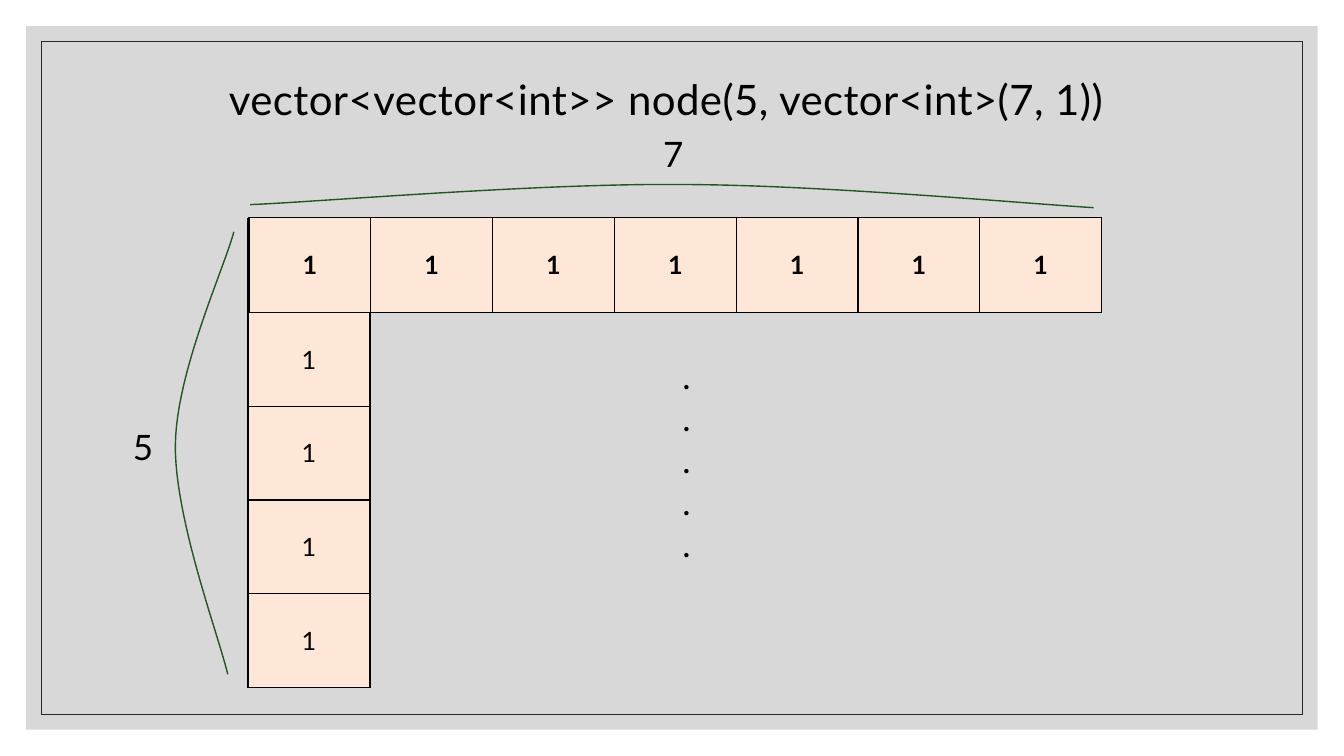
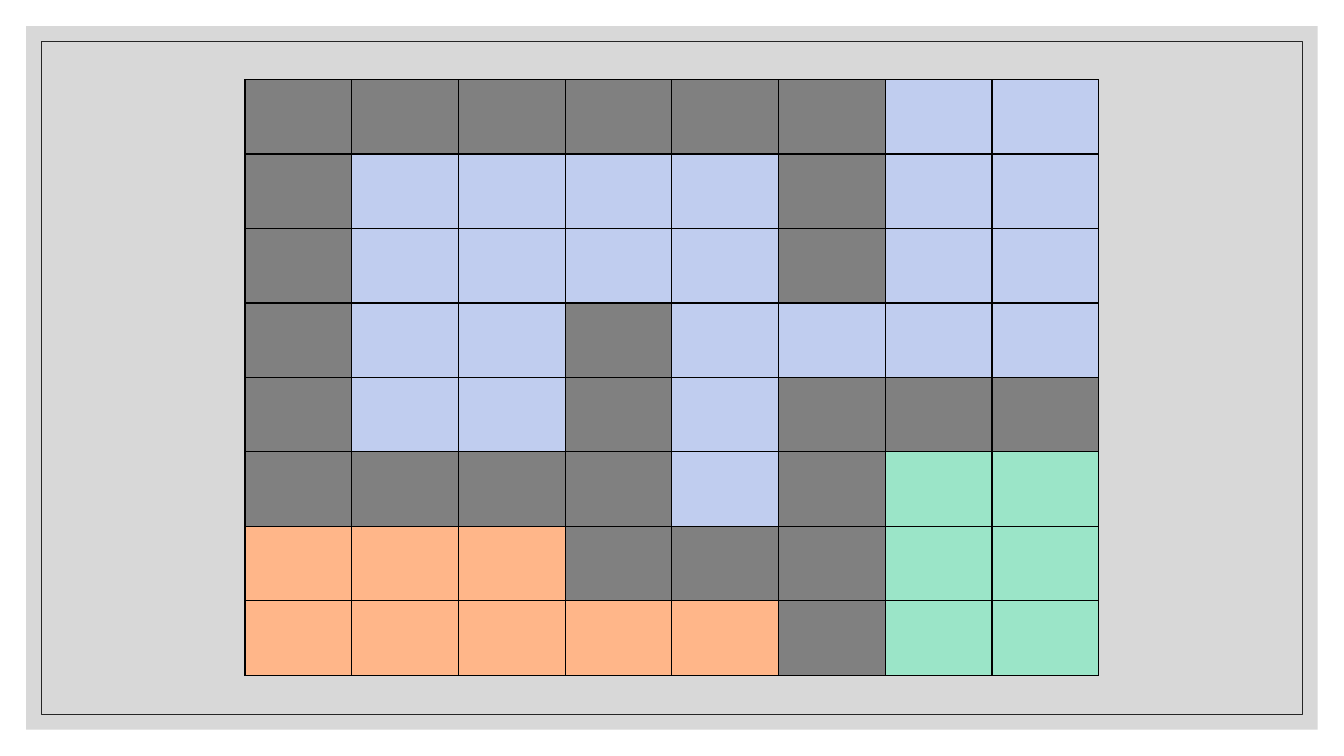
from lxml.etree import SubElement
from pptx import Presentation
from pptx.dml.color import RGBColor
from pptx.enum.shapes import MSO_SHAPE
from pptx.enum.text import MSO_ANCHOR, MSO_AUTO_SIZE, PP_ALIGN
from pptx.oxml.ns import qn
from pptx.util import Inches, Pt

WIDE, HIGH = Inches(13.333), Inches(7.5)
FONT = "Lato"
BLACK = RGBColor(0x00, 0x00, 0x00)
PANEL = RGBColor(0xBF, 0xBF, 0xBF)
FRAME = RGBColor(0x26, 0x26, 0x26)
GREEN = RGBColor(0x21, 0x56, 0x21)
CREAM = RGBColor(0xFF, 0xE7, 0xD8)
GREY = RGBColor(0x80, 0x80, 0x80)
BLUE = RGBColor(0xC0, 0xCD, 0xEF)
MINT = RGBColor(0x9B, 0xE5, 0xC8)
PEACH = RGBColor(0xFF, 0xB6, 0x89)

# Region map of the second slide, one letter a cell
REGIONS = {"#": GREY, "b": BLUE, "m": MINT, "p": PEACH}
MAP = [
    "######bb",
    "#bbbb#bb",
    "#bbbb#bb",
    "#bb#bbbb",
    "#bb#b###",
    "####b#mm",
    "ppp###mm",
    "ppppp#mm",
]


def place(x, y, w, h):
    """Turn percentages of the slide into lengths."""
    return [round(size * part / 100)
            for size, part in zip((WIDE, HIGH, WIDE, HIGH), (x, y, w, h))]


def write(frame, text, size=25, bold=False, align=PP_ALIGN.LEFT,
          lines=1.0, track=0):
    """Fill a text frame, one paragraph a line."""
    frame.word_wrap = True
    frame.text = text
    for para in frame.paragraphs:
        para.alignment = align
        para.line_spacing = lines
        for run in para.runs:
            font = run.font
            font.name, font.size, font.bold = FONT, Pt(size), bold
            font.color.rgb = BLACK
            if track:
                font._element.set("spc", str(track))


def label(slide, text, *box):
    write(slide.shapes.add_textbox(*place(*box)).text_frame, text)


def panel(slide, dx, dy):
    """Add a rectangle with equal margins on opposite sides."""
    box = place(dx, dy, 100 - 2 * dx, 100 - 2 * dy)
    shape = slide.shapes.add_shape(MSO_SHAPE.RECTANGLE, *box)
    shape.shadow.inherit = False
    return shape


def backdrop(deck, slide):
    """Draw the panel and frame, then move them to the master."""
    back = panel(slide, 1.95, 3.47)
    back.fill.solid()
    back.fill.fore_color.rgb = PANEL
    color = back.element.spPr.find(f"{qn('a:solidFill')}/{qn('a:srgbClr')}")
    SubElement(color, qn("a:alpha"), val="60000")
    back.line.fill.background()

    edge = panel(slide, 3.07, 5.47)
    edge.fill.background()
    edge.line.color.rgb = FRAME
    edge.line.width = Pt(0.5)

    tree = deck.slide_master.shapes.element
    for step, shape in enumerate((back, edge)):
        shape.element.nvSpPr.cNvPr.set("id", str(100 + step))
        tree.insert(2 + step, shape.element)


def border(cell):
    props = cell._tc.get_or_add_tcPr()
    for side in ("lnL", "lnR", "lnT", "lnB"):
        line = SubElement(props, qn(f"a:{side}"), w=str(Pt(1)))
        fill = SubElement(line, qn("a:solidFill"))
        SubElement(fill, qn("a:srgbClr"), val=str(BLACK))


def grid(slide, fills, box, texts=None, bold=False):
    """Add a table of equal cells from rows of colours and texts."""
    rows, cols = len(fills), len(fills[0])
    x, y, w, h = place(*box)
    table = slide.shapes.add_table(rows, cols, x, y, w, h).table
    table.first_row = table.horz_banding = False
    for col in table.columns:
        col.width = w // cols
    for r, row in enumerate(table.rows):
        row.height = h // rows
        for c, cell in enumerate(row.cells):
            border(cell)
            cell.fill.solid()
            cell.fill.fore_color.rgb = fills[r][c]
            cell.vertical_anchor = MSO_ANCHOR.MIDDLE
            if texts and texts[r][c]:
                write(cell.text_frame, texts[r][c], size=18, bold=bold,
                      align=PP_ALIGN.CENTER)


def bezier(knots, t):
    """Point at t on the cubic curve of four knots."""
    s = 1 - t
    parts = (s ** 3, 3 * s * s * t, 3 * s * t * t, t ** 3)
    return tuple(sum(p * k[axis] for p, k in zip(parts, knots))
                 for axis in (0, 1))


def brace(slide, knots, steps=24):
    """Draw joined cubic curves as one open outline."""
    points = [bezier(knots[i:i + 4], n / steps)
              for i in range(0, len(knots) - 1, 3)
              for n in range(1, steps + 1)]
    spots = [place(x, y, 0, 0)[:2] for x, y in [knots[0]] + points]
    pen = slide.shapes.build_freeform(*spots[0])
    pen.add_line_segments(spots[1:], close=False)
    curve = pen.convert_to_shape()
    curve.shadow.inherit = False
    curve.fill.background()
    curve.line.color.rgb = GREEN
    curve.line.width = Pt(1)


def head(slide, text):
    title = slide.shapes.title
    title.left, title.top, title.width, title.height = place(
        16.13, 7.47, 67.65, 10.67)
    frame = title.text_frame
    frame.auto_size = MSO_AUTO_SIZE.NONE
    frame.vertical_anchor = MSO_ANCHOR.TOP
    frame.margin_left = frame.margin_right = frame.margin_top = Inches(0.12)
    frame.margin_bottom = Inches(0.1)
    write(frame, text, size=30, lines=1.1, track=30)


def vectors(slide):
    """Vector of five rows with seven ones each."""
    head(slide, "vector<vector<int>> node(5, vector<int>(7, 1))")
    grid(slide, [[CREAM]] * 5, (18.45, 28.93, 9.08, 62),
         texts=[[""]] + [["1"]] * 4)
    grid(slide, [[CREAM] * 7], (18.53, 28.8, 63.45, 12.53),
         texts=[["1"] * 7], bold=True)

    # Braces with their counts
    brace(slide, [(17.4, 30.67), (16.73, 35.33), (13.13, 49.07),
                  (13.05, 58.8), (12.98, 68.53), (16.28, 84.13),
                  (16.95, 89.2)])
    label(slide, "5", 9.15, 55.6, 3.3, 6.8)
    brace(slide, [(18.62, 27.07), (23.93, 26.67), (39.9, 24.27),
                  (50.4, 24.4), (60.83, 24.4), (76.2, 26.93),
                  (81.38, 27.47)])
    label(slide, "7", 48.6, 16.93, 3.3, 7.07)

    # Rows left out
    label(slide, "\n".join("." * 5), 50.03, 46.27, 2.48, 29.07)


def regions(slide):
    """Map of coloured regions between grey walls."""
    fills = [[REGIONS[key] for key in row] for row in MAP]
    grid(slide, fills, (18.23, 10.53, 63.53, 78.8))


def main():
    deck = Presentation()
    deck.slide_width, deck.slide_height = WIDE, HIGH
    titled, blank = deck.slide_layouts[5], deck.slide_layouts[6]
    first = deck.slides.add_slide(titled)
    backdrop(deck, first)
    vectors(first)
    regions(deck.slides.add_slide(blank))
    deck.save("out.pptx")


if __name__ == "__main__":
    main()
